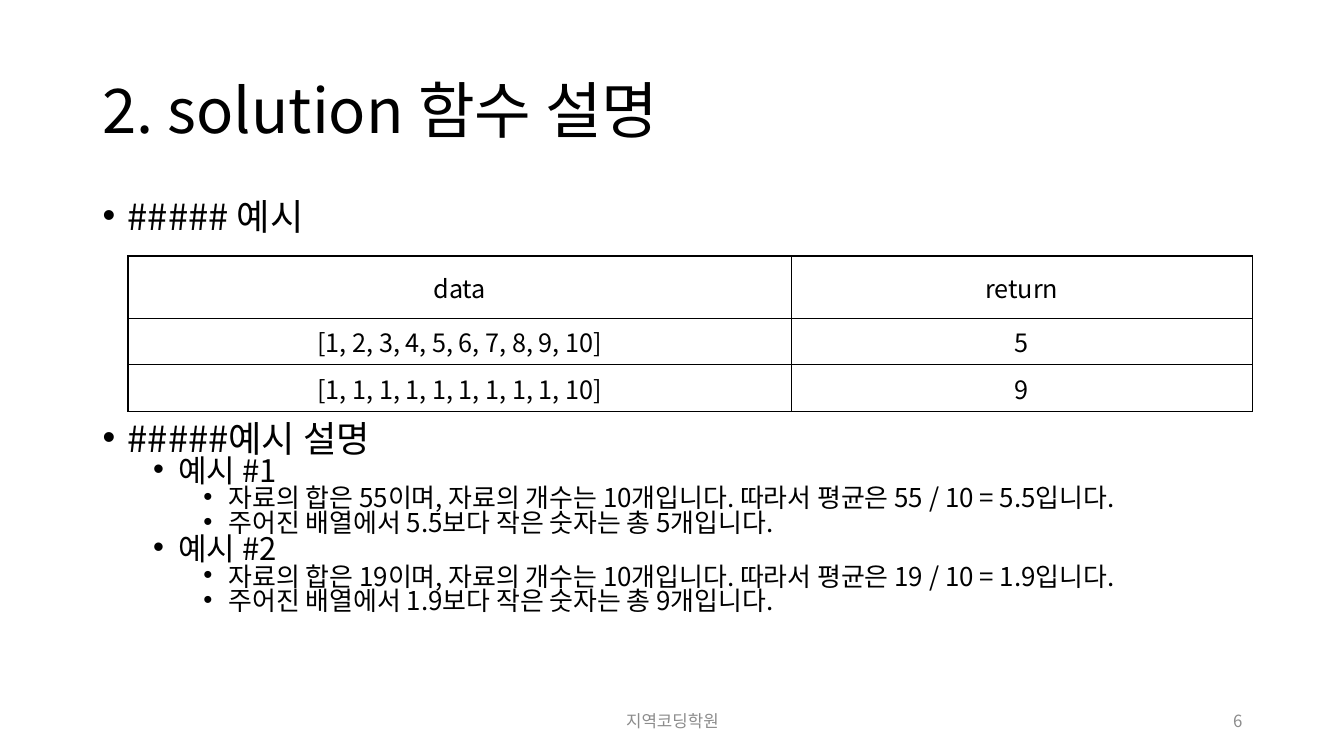
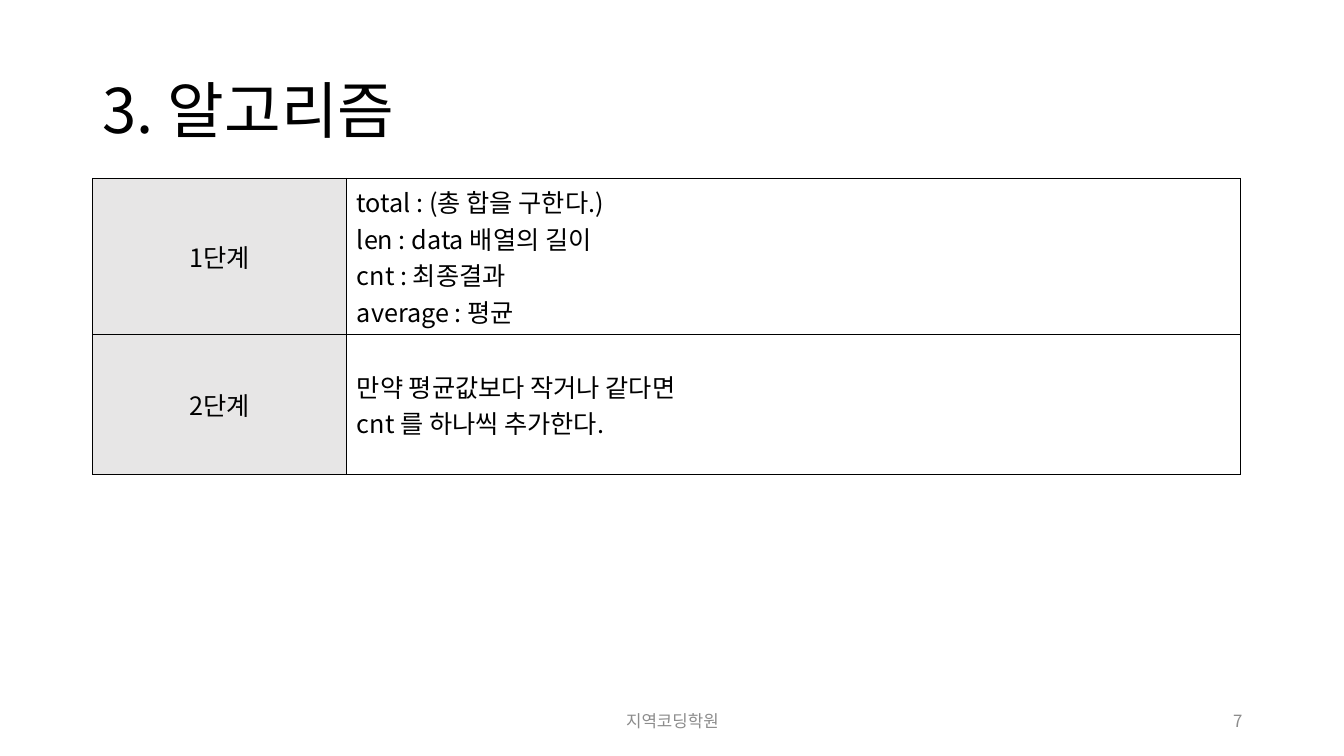
from dataclasses import dataclass

from lxml.etree import SubElement
from pptx import Presentation
from pptx.dml.color import RGBColor
from pptx.enum.text import MSO_ANCHOR, PP_ALIGN
from pptx.oxml.ns import qn
from pptx.util import Pt

PX = 9144


@dataclass(frozen=True)
class Theme:
    font: str = "Noto Sans CJK KR"
    ink: str = "000000"
    muted: str = "8C8C8C"
    label: str = "E7E6E6"
    title: float = 44
    levels: tuple = (25.9, 22.2, 18.5)
    table: float = 18
    footer: float = 12
    border: float = 1


THEME = Theme()
FOOTER = "지역코딩학원"
TITLE_BOX = (92, 40, 1150, 145)
FOOTER_BOX = (442, 695, 800, 40)


def px(n):
    return int(n * PX)


def write(p, text, size=THEME.table, color=THEME.ink, align=PP_ALIGN.LEFT,
          line=1.0, before=0, level=None):
    if level is not None:
        pPr = p._p.get_or_add_pPr()
        pPr.set("marL", str(px(25 + 50 * level)))
        pPr.set("indent", str(px(-25)))
        SubElement(pPr, qn("a:buFont"), typeface="Arial")
        SubElement(pPr, qn("a:buChar"), char="•")
        p.level = level
    p.alignment, p.line_spacing, p.space_before = align, line, Pt(before)
    r = p.add_run()
    r.text = text
    r.font.name = THEME.font
    r.font.size = Pt(size)
    r.font.color.rgb = RGBColor.from_string(color)
    SubElement(r._r.get_or_add_rPr(), qn("a:ea"), typeface=THEME.font)


def add_paragraph(tf, i):
    return tf.add_paragraph() if i else tf.paragraphs[0]


def add_box(s, box, anchor=MSO_ANCHOR.TOP):
    tf = s.shapes.add_textbox(*map(px, box)).text_frame
    tf.word_wrap = True
    tf.vertical_anchor = anchor
    return tf


def add_title(s, box, text):
    tf = add_box(s, box, MSO_ANCHOR.MIDDLE)
    write(tf.paragraphs[0], text, size=THEME.title, line=0.9)


def add_footer(s, box, number):
    x, y, w, h = box
    parts = (
        ((x, y, 450, h), FOOTER, PP_ALIGN.CENTER),
        ((x + w - 300, y, 300, h), str(number), PP_ALIGN.RIGHT),
    )
    for part, text, align in parts:
        tf = add_box(s, part, MSO_ANCHOR.MIDDLE)
        write(tf.paragraphs[0], text, size=THEME.footer, color=THEME.muted, align=align)


def add_bullets(s, box, items):
    tf = add_box(s, box)
    for i, (level, text) in enumerate(items):
        write(add_paragraph(tf, i), text, size=THEME.levels[level], line=0.7,
              before=2 if i else 0, level=level)


def add_borders(cell):
    tcPr = cell._tc.get_or_add_tcPr()
    for side in ("lnL", "lnR", "lnT", "lnB"):
        ln = SubElement(tcPr, qn(f"a:{side}"), w=str(Pt(THEME.border)))
        fill = SubElement(ln, qn("a:solidFill"))
        SubElement(fill, qn("a:srgbClr"), val=THEME.ink)


def add_grid(s, x, y, widths, heights, rows, aligns, fills):
    frame = s.shapes.add_table(len(rows), len(widths), px(x), px(y),
                               px(sum(widths)), px(sum(heights)))
    table = frame.table
    table.first_row = table.horz_banding = False
    for column, width in zip(table.columns, widths):
        column.width = px(width)
    for r, (height, texts) in enumerate(zip(heights, rows)):
        table.rows[r].height = px(height)
        for c, text in enumerate(texts):
            cell = table.cell(r, c)
            cell.vertical_anchor = MSO_ANCHOR.MIDDLE
            add_borders(cell)
            if fills[c]:
                cell.fill.solid()
                cell.fill.fore_color.rgb = RGBColor.from_string(fills[c])
            else:
                cell.fill.background()
            for i, line in enumerate(text.split("\n")):
                write(add_paragraph(cell.text_frame, i), line, align=aligns[c])


def add_slide(prs, title, number):
    s = prs.slides.add_slide(prs.slide_layouts[6])
    add_title(s, TITLE_BOX, title)
    add_footer(s, FOOTER_BOX, number)
    return s


def example_notes(number, total, average, count):
    return [
        (1, f"예시 #{number}"),
        (2, f"자료의 합은 {total}이며, 자료의 개수는 10개입니다. "
            f"따라서 평균은 {total} / 10 = {average}입니다."),
        (2, f"주어진 배열에서 {average}보다 작은 숫자는 총 {count}개입니다."),
    ]


def add_solution_slide(prs):
    s = add_slide(prs, "2. solution 함수 설명", 6)
    add_bullets(s, (92, 200, 1150, 50), [(0, "##### 예시")])
    add_grid(
        s, 127, 254, (658, 457), (62, 46, 46),
        (
            ("data", "return"),
            ("[1, 2, 3, 4, 5, 6, 7, 8, 9, 10]", "5"),
            ("[1, 1, 1, 1, 1, 1, 1, 1, 1, 10]", "9"),
        ),
        aligns=(PP_ALIGN.CENTER, PP_ALIGN.CENTER), fills=(None, None),
    )
    add_bullets(s, (92, 420, 1150, 256), [
        (0, "#####예시 설명"),
        *example_notes(1, 55, 5.5, 5),
        *example_notes(2, 19, 1.9, 9),
    ])


def add_algorithm_slide(prs):
    s = add_slide(prs, "3. 알고리즘", 7)
    add_grid(
        s, 92, 177, (252, 886), (155, 139),
        (
            ("1단계", "total : (총 합을 구한다.)\nlen : data 배열의 길이\n"
                    "cnt : 최종결과\naverage : 평균"),
            ("2단계", "만약 평균값보다 작거나 같다면\ncnt 를 하나씩 추가한다."),
        ),
        aligns=(PP_ALIGN.CENTER, PP_ALIGN.LEFT), fills=(THEME.label, None),
    )


def main():
    prs = Presentation()
    prs.slide_width, prs.slide_height = px(1333), px(750)
    add_solution_slide(prs)
    add_algorithm_slide(prs)
    prs.save("out.pptx")


if __name__ == "__main__":
    main()
